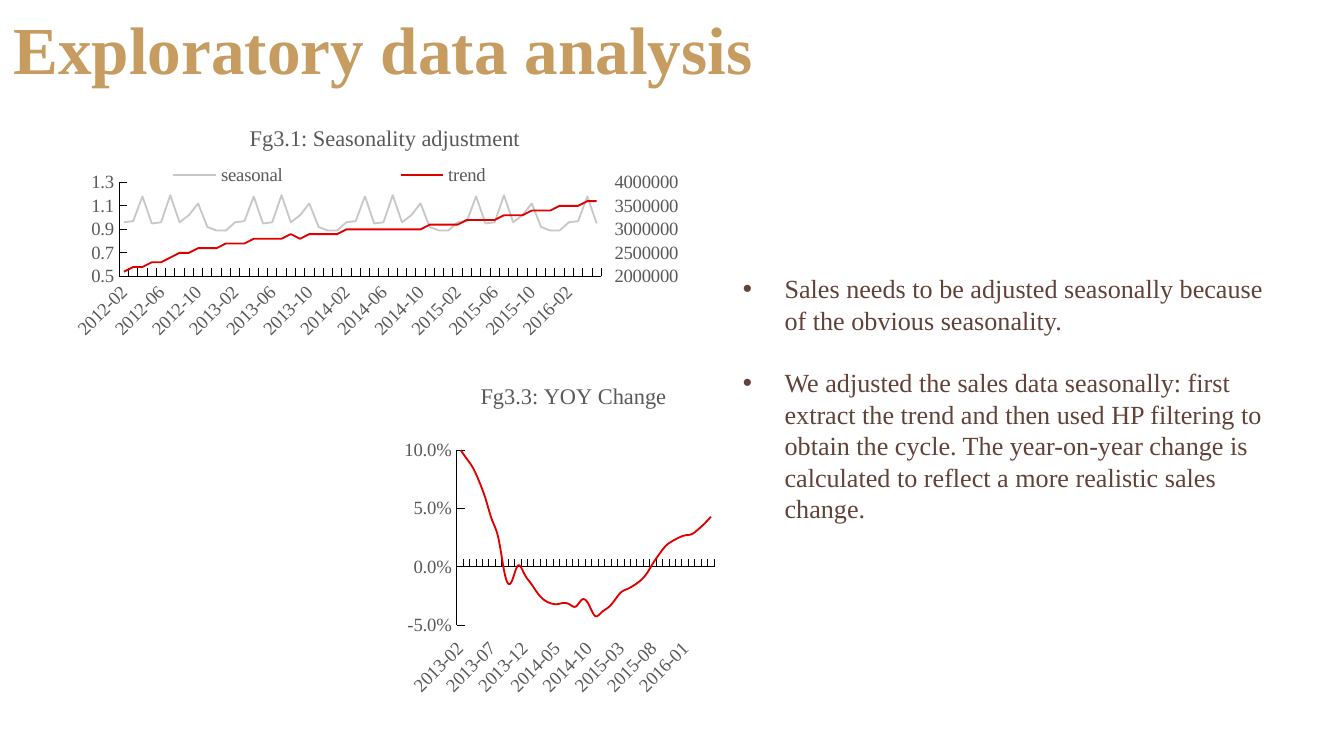
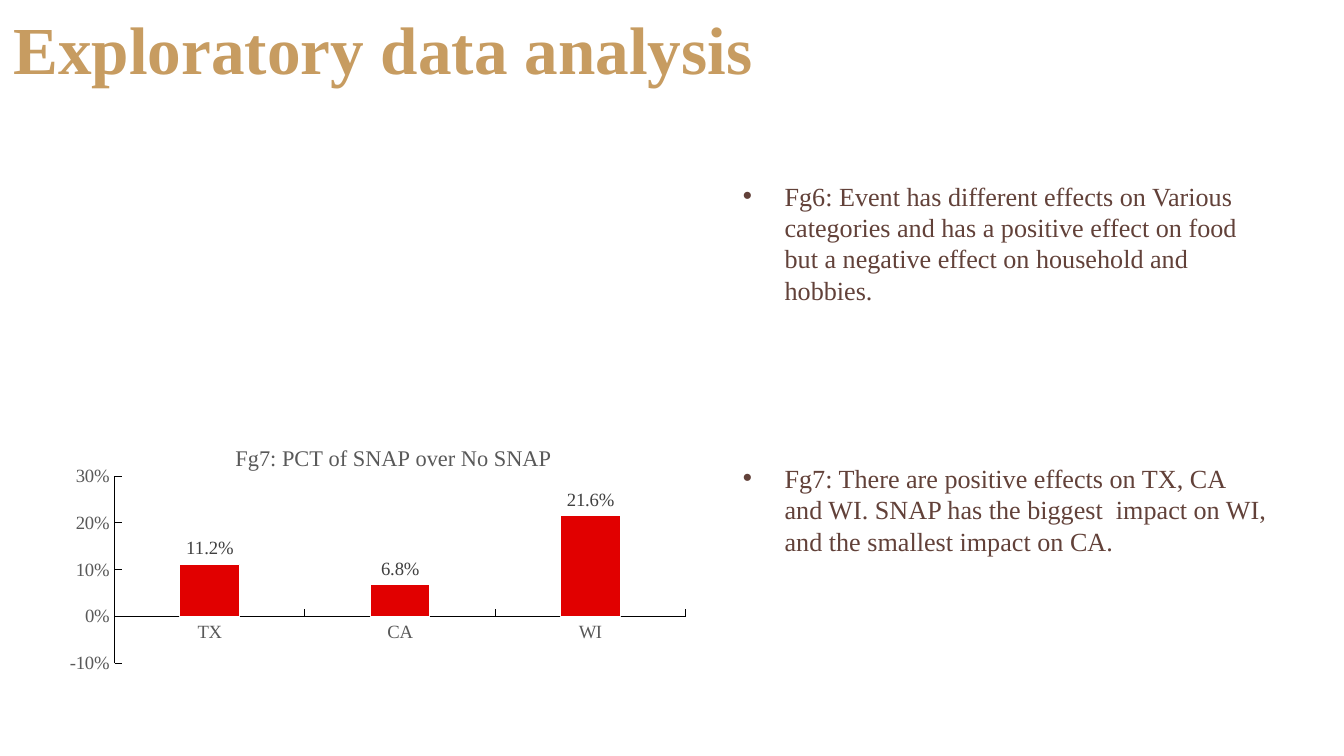
from copy import deepcopy
from itertools import cycle, islice

from lxml.etree import SubElement
from pptx import Presentation
from pptx.chart.axis import ValueAxis
from pptx.chart.data import CategoryChartData
from pptx.dml.color import RGBColor
from pptx.enum.chart import XL_CHART_TYPE as ChartType
from pptx.enum.chart import XL_LABEL_POSITION as LabelPosition
from pptx.enum.chart import XL_LEGEND_POSITION as LegendPosition
from pptx.enum.chart import XL_TICK_LABEL_POSITION as TickLabels
from pptx.enum.chart import XL_TICK_MARK as TickMark
from pptx.enum.text import MSO_ANCHOR, MSO_AUTO_SIZE, PP_ALIGN
from pptx.oxml.ns import qn
from pptx.util import Inches, Pt

FONT = "Times New Roman"
GOLD = RGBColor(0xC7, 0x9C, 0x61)
BROWN = RGBColor(0x62, 0x41, 0x39)
RED = RGBColor(0xE1, 0x00, 0x00)
SILVER = RGBColor(0xC8, 0xC8, 0xC8)
GREY = RGBColor(0x59, 0x59, 0x59)
DARK_GREY = RGBColor(0x40, 0x40, 0x40)
BLACK = RGBColor(0x00, 0x00, 0x00)
WHITE = RGBColor(0xFF, 0xFF, 0xFF)

# One year of seasonal factors, starting in February
SEASONAL_YEAR = [0.96, 0.97, 1.18, 0.95, 0.96, 1.19,
                 0.96, 1.02, 1.12, 0.92, 0.89, 0.89]
TREND_MILLIONS = [
    2.1, 2.2, 2.2, 2.3, 2.3, 2.4, 2.5, 2.5, 2.6, 2.6, 2.6, 2.7, 2.7,
    2.7, 2.8, 2.8, 2.8, 2.8, 2.9, 2.8, 2.9, 2.9, 2.9, 2.9, 3.0, 3.0,
    3.0, 3.0, 3.0, 3.0, 3.0, 3.0, 3.0, 3.1, 3.1, 3.1, 3.1, 3.2, 3.2,
    3.2, 3.2, 3.3, 3.3, 3.3, 3.4, 3.4, 3.4, 3.5, 3.5, 3.5, 3.6, 3.6]
YOY_CHANGE = [
    0.101, 0.093, 0.085, 0.073, 0.058, 0.04, 0.024, -0.007, -0.013, 0.001,
    -0.006, -0.014, -0.022, -0.028, -0.031, -0.032, -0.031, -0.032, -0.034, -0.028,
    -0.032, -0.042, -0.039, -0.035, -0.029, -0.022, -0.019, -0.016, -0.012, -0.006,
    0.003, 0.011, 0.018, 0.022, 0.025, 0.027, 0.028, 0.032, 0.037, 0.043]


def months(year, count):
    """Month labels such as 2012-02, from February of the given year."""
    return [f"{year + n // 12}-{n % 12 + 1:02d}" for n in range(1, count + 1)]


# Text
def format_font(font, size, color, bold=False):
    font.name = FONT
    font.size = Pt(size)
    font.bold = bold
    font.color.rgb = color


def write(paragraph, text, *, size, color, bold=False, bullet=False,
          space_before=0, line_spacing=None):
    if bullet:
        properties = paragraph._p.get_or_add_pPr()
        indent = Inches(0.31)
        properties.set("marL", str(indent))
        properties.set("indent", str(-indent))
        SubElement(properties, qn("a:buFont")).set("typeface", "Arial")
        SubElement(properties, qn("a:buChar")).set("char", "•")
    paragraph.alignment = PP_ALIGN.LEFT
    if space_before:
        paragraph.space_before = Pt(space_before)
    if line_spacing:
        paragraph.line_spacing = line_spacing
    run = paragraph.add_run()
    run.text = text
    format_font(run.font, size, color, bold)


def add_titled_slide(presentation):
    slide = presentation.slides.add_slide(presentation.slide_layouts[5])
    title = slide.shapes.title
    title.left, title.top = Inches(0), Inches(0.02)
    title.width, title.height = Inches(9.32), Inches(0.63)
    frame = title.text_frame
    frame.word_wrap = True
    frame.auto_size = MSO_AUTO_SIZE.NONE
    frame.vertical_anchor = MSO_ANCHOR.TOP
    frame.margin_left = frame.margin_right = Inches(0.1)
    frame.margin_top = frame.margin_bottom = Inches(0.1)
    write(frame.paragraphs[0], "Exploratory data analysis",
          size=36, color=GOLD, bold=True, line_spacing=0.9)
    return slide


def add_bullets(slide, top, height, texts, gap):
    box = slide.shapes.add_textbox(Inches(5.43), Inches(top), Inches(4.1), Inches(height))
    frame = box.text_frame
    frame.word_wrap = True
    frame.auto_size = MSO_AUTO_SIZE.SHAPE_TO_FIT_TEXT
    for index, text in enumerate(texts):
        paragraph = frame.add_paragraph() if index else frame.paragraphs[0]
        write(paragraph, text, size=14, color=BROWN, bullet=True,
              space_before=gap if index else 0)


# Charts
def set_layout(parent, index, *percents, names="xywh", inner=False):
    """Place a chart part by percentages of the chart area."""
    for old in parent.findall(qn("c:layout")):
        parent.remove(old)
    layout = SubElement(parent, qn("c:layout"))
    parent.insert(index, layout)
    manual = SubElement(layout, qn("c:manualLayout"))
    if inner:
        SubElement(manual, qn("c:layoutTarget")).set("val", "inner")
    for mode in ("xMode", "yMode"):
        SubElement(manual, qn(f"c:{mode}")).set("val", "edge")
    for name, percent in zip(names, percents):
        SubElement(manual, qn(f"c:{name}")).set("val", str(percent / 100))


def format_axis(axis, line=True):
    axis.has_major_gridlines = False
    axis.major_tick_mark = TickMark.INSIDE if line else TickMark.OUTSIDE
    axis.minor_tick_mark = TickMark.NONE
    format_font(axis.tick_labels.font, 10, GREY)
    if line:
        axis.format.line.color.rgb = BLACK
        axis.format.line.width = Pt(0.5)
    else:
        axis.format.line.fill.background()


def set_scale(axis, low, high, step, number_format):
    axis.minimum_scale, axis.maximum_scale, axis.major_unit = low, high, step
    axis.tick_labels.number_format = number_format
    axis.tick_labels.number_format_is_linked = False


def add_chart(slide, kind, box, title, title_left, plot, categories, series, scale):
    data = CategoryChartData()
    data.categories = categories
    for name, values in series:
        data.add_series(name, values)
    chart = slide.shapes.add_chart(kind, *map(Inches, box), data).chart
    format_font(chart.font, 10, BLACK)
    chart.has_legend = False

    # White chart area
    area = SubElement(chart.element, qn("c:spPr"))
    chart.element.find(qn("c:chart")).addnext(area)
    fill = SubElement(area, qn("a:solidFill"))
    SubElement(fill, qn("a:srgbClr")).set("val", str(WHITE))
    SubElement(SubElement(area, qn("a:ln")), qn("a:noFill"))

    # Title and plot area
    chart.has_title = True
    write(chart.chart_title.text_frame.paragraphs[0], title, size=12, color=GREY)
    set_layout(chart.element.find(f".//{qn('c:title')}"), 1, title_left, 0.3)
    set_layout(chart.element.find(f".//{qn('c:plotArea')}"), 0, *plot, inner=True)

    format_axis(chart.category_axis)
    format_axis(chart.value_axis)
    set_scale(chart.value_axis, *scale)
    return chart


def format_lines(chart, colors, smooth=False):
    for series, color in zip(chart.plots[0].series, colors):
        series.smooth = smooth
        series.format.line.color.rgb = color
        series.format.line.width = Pt(1)


def slant_labels(axis):
    body = axis._element.find(f"{qn('c:txPr')}/{qn('a:bodyPr')}")
    body.set("rot", "-2700000")
    body.set("vert", "horz")


def move_last_series_to_right_axis(chart):
    plot_area = chart.element.find(f".//{qn('c:plotArea')}")
    left_lines = plot_area.find(qn("c:lineChart"))
    right_lines = deepcopy(left_lines)
    left_lines.addnext(right_lines)
    left_lines.remove(left_lines.findall(qn("c:ser"))[-1])
    for series in right_lines.findall(qn("c:ser"))[:-1]:
        right_lines.remove(series)

    category_id, value_id = "50010", "50020"
    for element, axis_id in zip(right_lines.findall(qn("c:axId")), (category_id, value_id)):
        element.set("val", axis_id)
    category_axis = deepcopy(plot_area.find(qn("c:catAx")))
    value_axis = deepcopy(plot_area.find(qn("c:valAx")))
    plot_area.find(qn("c:valAx")).addnext(value_axis)
    value_axis.addnext(category_axis)
    for axis, own_id, cross_id in ((category_axis, category_id, value_id),
                                   (value_axis, value_id, category_id)):
        axis.find(qn("c:axId")).set("val", own_id)
        axis.find(qn("c:crossAx")).set("val", cross_id)
    category_axis.find(qn("c:delete")).set("val", "1")
    value_axis.find(qn("c:axPos")).set("val", "r")
    value_axis.find(qn("c:crosses")).set("val", "max")
    right_axis = ValueAxis(value_axis)
    format_axis(right_axis, line=False)
    return right_axis


def add_legend(chart):
    chart.has_legend = True
    chart.legend.position = LegendPosition.BOTTOM
    chart.legend.include_in_layout = False
    format_font(chart.legend.font, 10, GREY)
    set_layout(chart.element.find(f".//{qn('c:legend')}"), 1, 0, 18, 81, 9)


def add_yoy_chart(slide):
    chart = add_chart(
        slide, ChartType.LINE, (2.93, 2.81, 2.44, 2.41),
        "Fg3.3: YOY Change", 25.2, (19.2, 22.4, 78.5, 54.1),
        months(2013, len(YOY_CHANGE)), [("Series 1", YOY_CHANGE)],
        (-0.05, 0.1, 0.05, "0.0%"))
    format_lines(chart, [RED], smooth=True)
    chart.category_axis.tick_label_position = TickLabels.LOW
    slant_labels(chart.category_axis)


def add_seasonality_chart(slide):
    count = len(TREND_MILLIONS)
    seasonal = list(islice(cycle(SEASONAL_YEAR), count))
    trend = [round(value * 1_000_000) for value in TREND_MILLIONS]
    chart = add_chart(
        slide, ChartType.LINE, (0.46, 0.89, 4.92, 1.83),
        "Fg3.1: Seasonality adjustment", 27.8, (8.7, 25.5, 72.9, 38.3),
        months(2012, count), [("seasonal", seasonal), ("trend", trend)],
        (0.5, 1.3, 0.2, "General"))
    format_lines(chart, [SILVER, RED])
    slant_labels(chart.category_axis)
    right_axis = move_last_series_to_right_axis(chart)
    set_scale(right_axis, 2_000_000, 4_000_000, 500_000, "General")
    add_legend(chart)


def add_snap_chart(slide):
    chart = add_chart(
        slide, ChartType.COLUMN_CLUSTERED, (0.46, 3.27, 4.97, 2.04),
        "Fg7: PCT of SNAP over No SNAP", 25.4, (7.9, 13.4, 85.5, 68.3),
        ["TX", "CA", "WI"], [("Series 1", [0.112, 0.068, 0.216])],
        (-0.1, 0.3, 0.1, "0%"))
    plot = chart.plots[0]
    plot.vary_by_categories = False
    plot.gap_width, plot.overlap = 219, -27
    bars = plot.series[0]
    bars.format.fill.solid()
    bars.format.fill.fore_color.rgb = RED
    bars.format.line.color.rgb = WHITE
    bars.format.line.width = Pt(0.5)
    labels = bars.data_labels
    labels.show_value = True
    labels.position = LabelPosition.OUTSIDE_END
    labels.number_format = "0.0%"
    labels.number_format_is_linked = False
    format_font(labels.font, 10, DARK_GREY)


def main():
    presentation = Presentation()
    presentation.slide_width = Inches(10)
    presentation.slide_height = Inches(10) * 9 // 16

    # Slide 1: seasonality and year-on-year change
    slide = add_titled_slide(presentation)
    add_bullets(slide, 1.98, 2.22, [
        "Sales needs to be adjusted seasonally because of the obvious seasonality.",
        "We adjusted the sales data seasonally: first extract the trend and then used "
        "HP filtering to obtain the cycle. The year-on-year change is calculated to "
        "reflect a more realistic sales change."], gap=16.8)
    add_yoy_chart(slide)
    add_seasonality_chart(slide)

    # Slide 2: effects of events and SNAP
    slide = add_titled_slide(presentation)
    add_bullets(slide, 1.29, 3.4, [
        "Fg6: Event has different effects on Various categories and has a positive "
        "effect on food but a negative effect on household and hobbies.",
        "Fg7: There are positive effects on TX, CA and WI. SNAP has the biggest  impact "
        "on WI, and the smallest impact on CA."], gap=84)
    add_snap_chart(slide)

    presentation.save("out.pptx")


if __name__ == "__main__":
    main()
